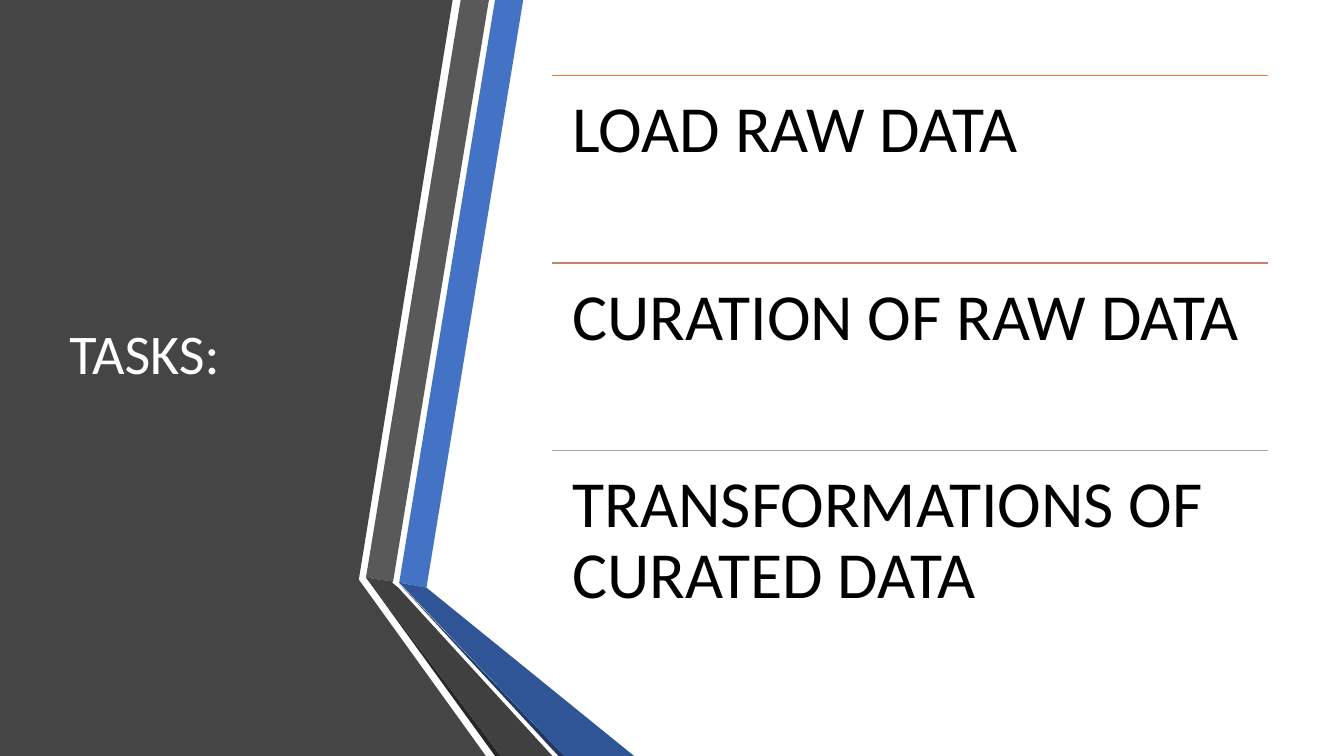
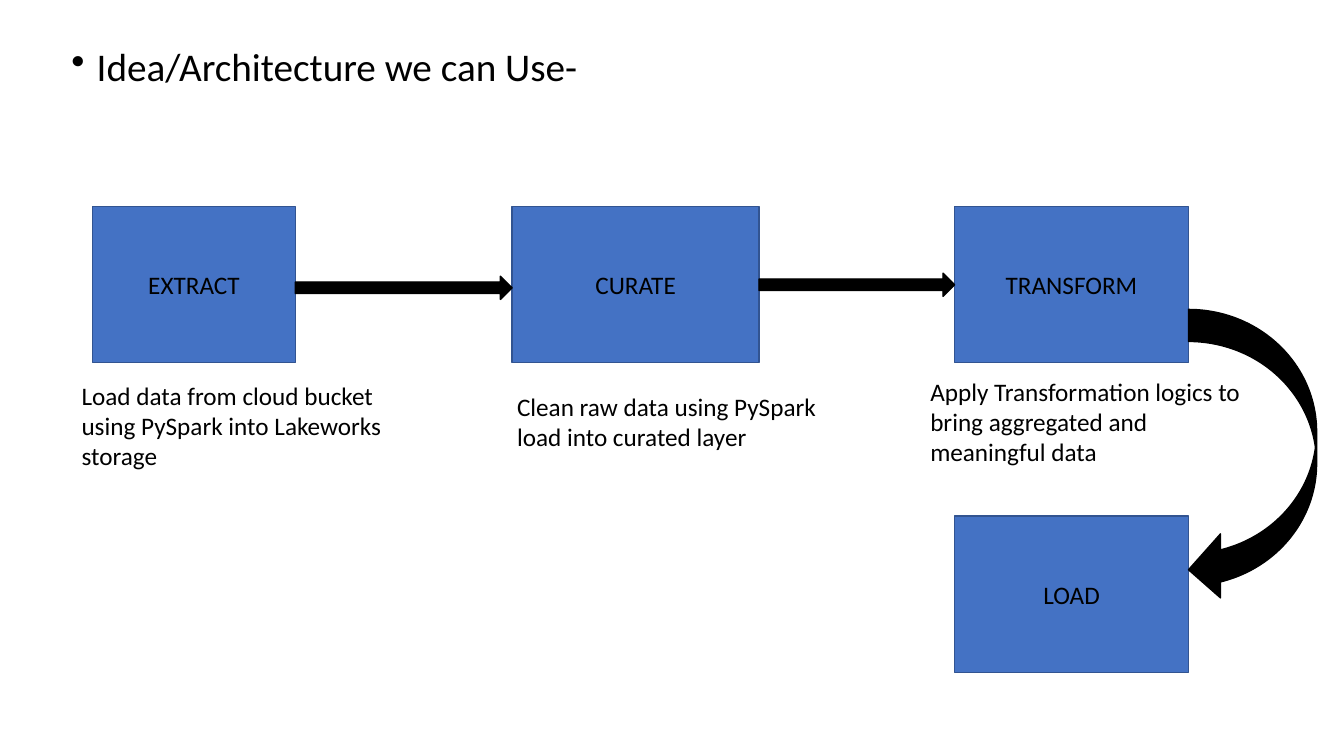
import pptx
import pptx.util
import pptx.dml.color
import pptx.enum.shapes
import pptx.enum.text
import pptx.oxml
import lxml.etree

RGB = pptx.dml.color.RGBColor
KIND = pptx.enum.shapes.MSO_SHAPE
ALIGN = pptx.enum.text.PP_ALIGN
MID = pptx.enum.text.MSO_ANCHOR.MIDDLE
TOP = pptx.enum.text.MSO_ANCHOR.TOP

WHITE = RGB(0xFF, 0xFF, 0xFF)
BLACK = RGB(0x00, 0x00, 0x00)
PANEL = RGB(0x45, 0x45, 0x45)
BLUE = RGB(0x44, 0x72, 0xC4)
DEEP = RGB(0x2F, 0x55, 0x97)
NAVY = RGB(0x20, 0x38, 0x64)
EDGE = RGB(0x32, 0x54, 0x91)
GREY = RGB(0x59, 0x59, 0x59)
COAL = RGB(0x40, 0x40, 0x40)
SOOT = RGB(0x26, 0x26, 0x26)
AMBER = RGB(0xED, 0x7D, 0x31)
ROSE = RGB(0xC4, 0x81, 0x70)
ASH = RGB(0xA5, 0xA5, 0xA5)

FONT = "Calibri"
WIDE = pptx.util.Inches(13.33)
HIGH = pptx.util.Inches(7.5)

BANDS = [
    (PANEL, [(0, 0), (33.68, 0), (26.7, 76.67), (36.15, 100), (0, 100)]),
    (BLUE, [(29.7, 77.07), (31.73, 77.73), (38.93, 0), (36.83, 0)]),
    (GREY, [(36.38, 0), (34.28, 0), (27.23, 76.4), (29.25, 76.93)]),
    (SOOT, [(27.23, 76.4), (36.83, 100), (37.28, 100)]),
    (NAVY, [(29.7, 77.2), (41.55, 100), (42, 100)]),
    (DEEP, [(29.7, 77.07), (42, 100), (47.18, 100), (31.73, 77.73)]),
    (COAL, [(41.1, 100), (29.63, 77.73), (29.18, 77.07), (29.25, 76.93),
            (27.23, 76.4), (37.28, 100)]),
]
TASKS = [
    ("LOAD RAW DATA", AMBER),
    ("CURATION OF RAW DATA", ROSE),
    ("TRANSFORMATIONS OF CURATED DATA", ASH),
]
STEPS = [("EXTRACT", 6.9, 15.08), ("CURATE", 38.1, 18.38), ("TRANSFORM", 71.03, 17.4)]
NOTES = [
    ("Load data from cloud bucket using PySpark into Lakeworks storage",
     (5.33, 49.6, 26.25, 13.47)),
    ("Clean raw data using PySpark load into curated layer",
     (37.73, 51.07, 24.53, 9.47)),
    ("Apply Transformation logics to bring aggregated and meaningful data",
     (68.48, 49.07, 24.68, 13.47)),
]


def spot(x, y):
    return round(WIDE * x / 100), round(HIGH * y / 100)


def area(x, y, wide, high):
    return spot(x, y) + spot(wide, high)


def paint(shape, fill, edge=None):
    shape.shadow.inherit = False
    shape.fill.solid()
    shape.fill.fore_color.rgb = fill
    if edge is None:
        shape.line.fill.background()
    else:
        shape.line.color.rgb = edge
        shape.line.width = pptx.util.Pt(1)


def write(shape, text, size=18, color=BLACK, align=ALIGN.LEFT, anchor=TOP,
          lines=1.0, inset=None, above=0, bullet=None):
    frame = shape.text_frame
    frame.word_wrap = True
    frame.vertical_anchor = anchor
    if inset is not None:
        gap = pptx.util.Inches(inset)
        frame.margin_left = frame.margin_right = gap
        frame.margin_top = frame.margin_bottom = gap
    para = frame.paragraphs[0]
    para.alignment = align
    para.line_spacing = lines
    para.space_before = pptx.util.Pt(above)
    run = para.add_run()
    run.text = text
    run.font.name = FONT
    run.font.size = pptx.util.Pt(size)
    run.font.color.rgb = color
    if bullet:
        props = para._p.get_or_add_pPr()
        step = pptx.util.Inches(0.25)
        props.set("marL", str(step))
        props.set("indent", str(-step))
        mark = lxml.etree.SubElement(props, pptx.oxml.ns.qn("a:buChar"))
        mark.set("char", bullet)


def label(slide, text, place, **style):
    write(slide.shapes.add_textbox(*area(*place)), text, **style)


def band(slide, color, dots):
    first, *rest = [spot(*dot) for dot in dots]
    pen = slide.shapes.build_freeform(*first, scale=1.0)
    pen.add_line_segments(rest, close=True)
    paint(pen.convert_to_shape(), color)


def rule(slide, x, y, wide, color):
    line = slide.shapes.add_connector(
        pptx.enum.shapes.MSO_CONNECTOR.STRAIGHT, *spot(x, y), *spot(x + wide, y))
    line.line.color.rgb = color
    line.line.width = pptx.util.Pt(1)
    lxml.etree.SubElement(line._element.spPr, pptx.oxml.ns.qn("a:effectLst"))


def box(slide, text, x, y, wide):
    shape = slide.shapes.add_shape(KIND.RECTANGLE, *area(x, y, wide, 20.67))
    paint(shape, BLUE, EDGE)
    write(shape, text, align=ALIGN.CENTER, anchor=MID)


def arrow(slide, kind, *place):
    paint(slide.shapes.add_shape(kind, *area(*place)), BLACK, BLACK)


def agenda(slide):
    for color, dots in BANDS:
        band(slide, color, dots)
    label(slide, "TASKS:", (4.42, 10, 22.8, 74.4), size=40, color=WHITE,
          anchor=MID, lines=0.9)
    left, wide, high = 41.1, 53.25, 24.8
    for row, (text, color) in enumerate(TASKS):
        top = 10 + row * high
        rule(slide, left, top, wide, color)
        label(slide, text, (left, top, wide, high), size=47, lines=0.9, inset=0.2)


def flow(slide):
    label(slide, "Idea/Architecture we can Use-", (4.58, 5.6, 88.5, 84.4),
          size=28, lines=0.9, above=10, bullet="\u2022")
    for text, x, wide in STEPS:
        box(slide, text, x, 27.33, wide)
    for text, place in NOTES:
        label(slide, text, place)
    for (_, x, wide), (_, end, _), y in zip(STEPS, STEPS[1:], (36.53, 36.13)):
        arrow(slide, KIND.RIGHT_ARROW, x + wide, y, end - x - wide, 3.07)
    _, x, wide = STEPS[-1]
    box(slide, "LOAD", x, 68.27, wide)
    arrow(slide, KIND.CURVED_LEFT_ARROW, x + wide, 40.93, 9.53, 38.67)


def main():
    deck = pptx.Presentation()
    deck.slide_width, deck.slide_height = WIDE, HIGH
    for build in (agenda, flow):
        build(deck.slides.add_slide(deck.slide_layouts[6]))
    deck.save("out.pptx")


main()
